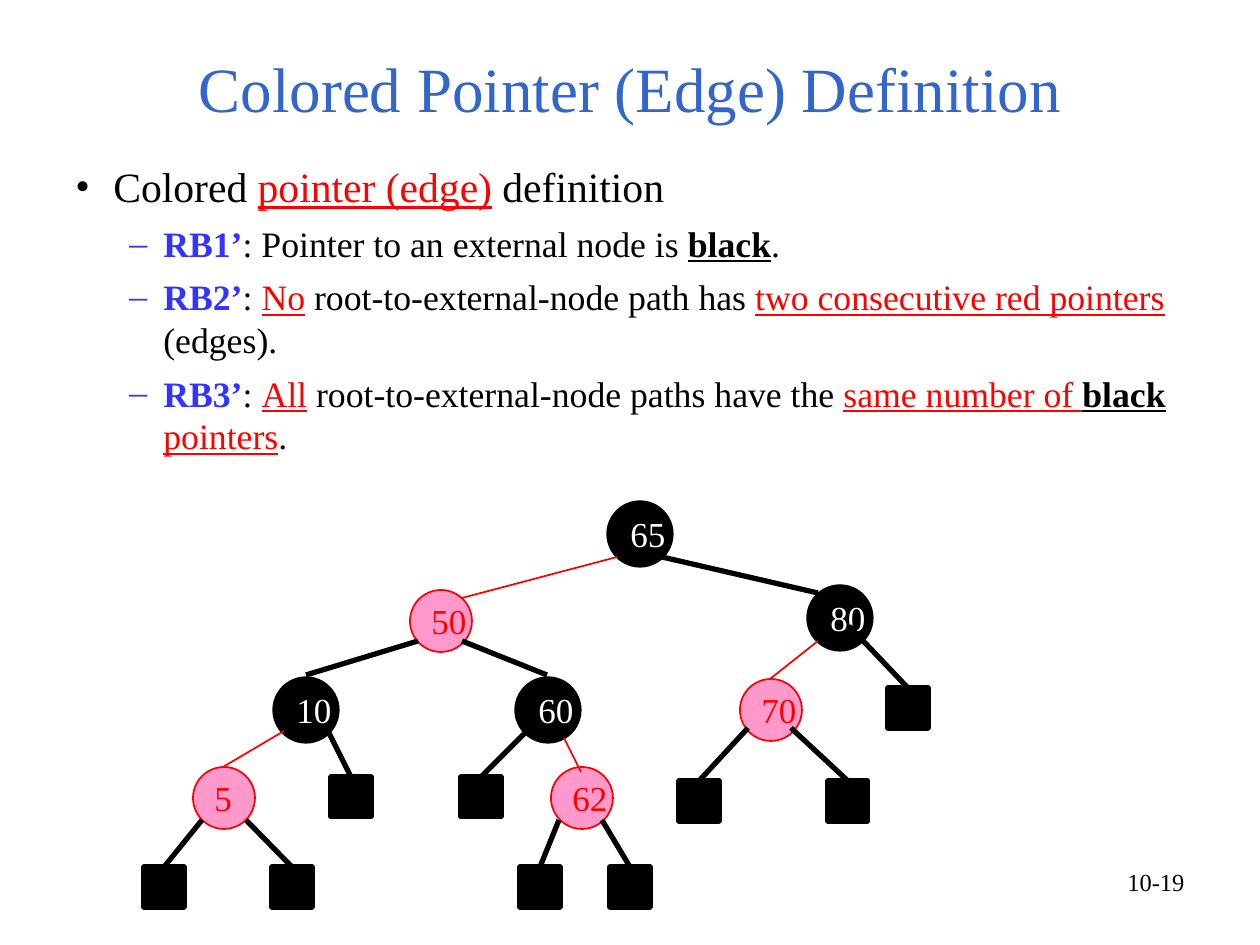
"""Build the slide that defines coloured pointers in a red-black tree."""
from dataclasses import dataclass

from lxml.etree import SubElement
from pptx import Presentation
from pptx.dml.color import RGBColor
from pptx.enum.shapes import MSO_CONNECTOR as Connector, MSO_SHAPE as Preset
from pptx.enum.text import MSO_ANCHOR as Anchor, PP_ALIGN as Align
from pptx.oxml.ns import qn
from pptx.shapes.autoshape import Shape
from pptx.slide import Slide
from pptx.util import Emu, Pt

PX_PER_INCH = 126
FONT = "Times New Roman"
COLORS = {
    "black": "000000",
    "white": "FFFFFF",
    "red": "FF0000",
    "pink": "FF99CC",
    "title": "3366CC",
    "rule": "3333FF",
}
NODE_SIZE = 62
EXTERNAL_SIZE = 40
Point = tuple[int, int]


@dataclass(frozen=True)
class Span:
    text: str
    color: str = "black"
    bold: bool = False
    underline: bool = False


@dataclass(frozen=True)
class Bullet:
    level: int
    spans: tuple[Span, ...]


@dataclass(frozen=True)
class BulletStyle:
    mark: str
    color: str
    size: float
    space_before: int
    margin: int
    hanging: int


@dataclass(frozen=True)
class Node:
    label: str
    left: int
    top: int
    color: str
    edge: tuple[Point, Point] | None = None


@dataclass(frozen=True)
class External:
    left: int
    top: int
    edge_start: Point


BULLET_STYLES = (
    BulletStyle("•", "black", 23.8, 7, 38, 38),
    BulletStyle("–", "rule", 20.4, 6, 88, 34),
)
BULLETS = (
    Bullet(0, (Span("Colored "), Span("pointer (edge)", "red", underline=True), Span(" definition"))),
    Bullet(1, (
        Span("RB1’", "rule", bold=True),
        Span(": Pointer to an external node is "),
        Span("black", bold=True, underline=True),
        Span("."),
    )),
    Bullet(1, (
        Span("RB2’", "rule", bold=True),
        Span(": "),
        Span("No", "red", underline=True),
        Span(" root-to-external-node path has "),
        Span("two consecutive red pointers", "red", underline=True),
        Span(" (edges)."),
    )),
    Bullet(1, (
        Span("RB3’", "rule", bold=True),
        Span(": "),
        Span("All", "red", underline=True),
        Span(" root-to-external-node paths have the "),
        Span("same number of ", "red", underline=True),
        Span("black", bold=True, underline=True),
        Span(" pointers", "red", underline=True),
        Span("."),
    )),
)
NODES = (
    Node("65", 609, 503, "black"),
    Node("50", 410, 590, "red", ((617, 557), (462, 598))),
    Node("80", 809, 587, "black", ((662, 557), (818, 593))),
    Node("10", 275, 679, "black", ((418, 641), (306, 675))),
    Node("60", 517, 679, "black", ((462, 641), (547, 675))),
    Node("70", 740, 679, "red", ((818, 641), (770, 679))),
    Node("5", 193, 767, "red", ((284, 731), (223, 767))),
    Node("62", 551, 767, "red", ((564, 738), (581, 772))),
)
EXTERNALS = (
    External(144, 867, (202, 820)),
    External(272, 867, (246, 820)),
    External(331, 777, (328, 731)),
    External(461, 777, (525, 733)),
    External(520, 867, (559, 820)),
    External(610, 867, (602, 820)),
    External(679, 781, (748, 728)),
    External(828, 781, (791, 728)),
    External(888, 688, (849, 626)),
)


def px(length: int) -> Emu:
    """Convert pixels to EMU."""
    return Emu(round(length * 914400 / PX_PER_INCH))


def rgb(name: str) -> RGBColor:
    """Look up a named colour."""
    return RGBColor.from_string(COLORS[name])


def line_width(color: str) -> Pt:
    """Give black lines three points and red lines one."""
    return Pt(3 if color == "black" else 1)


def add_run(paragraph, span: Span, size: float) -> None:
    """Append one formatted run."""
    run = paragraph.add_run()
    run.text = span.text
    font = run.font
    font.name, font.size = FONT, Pt(size)
    font.bold, font.underline = span.bold, span.underline
    font.color.rgb = rgb(span.color)


def add_text_box(slide: Slide, left: int, top: int, width: int, height: int) -> Shape:
    """Add an empty wrapping text box."""
    shape = slide.shapes.add_textbox(px(left), px(top), px(width), px(height))
    shape.text_frame.word_wrap = True
    return shape


def add_title(slide: Slide) -> None:
    """Add the centred heading."""
    frame = add_text_box(slide, 63, 38, 1134, 87).text_frame
    frame.vertical_anchor = Anchor.BOTTOM
    frame.margin_left = frame.margin_right = frame.margin_bottom = 0
    paragraph = frame.paragraphs[0]
    paragraph.alignment = Align.CENTER
    add_run(paragraph, Span("Colored Pointer (Edge) Definition", "title"), 36)


def add_bullets(slide: Slide) -> None:
    """Add the definition and its three rules."""
    frame = add_text_box(slide, 63, 155, 1134, 318).text_frame
    for index, bullet in enumerate(BULLETS):
        paragraph = frame.add_paragraph() if index else frame.paragraphs[0]
        style = BULLET_STYLES[bullet.level]
        paragraph.level = bullet.level
        paragraph.space_before = Pt(style.space_before)
        properties = paragraph._p.get_or_add_pPr()
        properties.set("marL", str(px(style.margin)))
        properties.set("indent", str(-px(style.hanging)))
        mark_color = SubElement(properties, qn("a:buClr"))
        SubElement(mark_color, qn("a:srgbClr"), val=COLORS[style.color])
        SubElement(properties, qn("a:buFont"), typeface=FONT)
        SubElement(properties, qn("a:buChar"), char=style.mark)
        for span in bullet.spans:
            add_run(paragraph, span, style.size)


def add_page_number(slide: Slide) -> None:
    """Add the page number at the lower right."""
    paragraph = add_text_box(slide, 903, 861, 294, 65).text_frame.paragraphs[0]
    paragraph.alignment = Align.RIGHT
    add_run(paragraph, Span("10-19"), 14)


def add_figure(slide: Slide, preset: Preset, left: int, top: int, size: int, fill: str, line: str) -> Shape:
    """Add a flat filled and outlined shape with equal sides."""
    shape = slide.shapes.add_shape(preset, px(left), px(top), px(size), px(size))
    shape.shadow.inherit = False
    shape.fill.solid()
    shape.fill.fore_color.rgb = rgb(fill)
    shape.line.color.rgb = rgb(line)
    shape.line.width = line_width(line)
    return shape


def add_node(slide: Slide, node: Node) -> None:
    """Add a labelled internal node."""
    fill, text_color = ("pink", "red") if node.color == "red" else ("black", "white")
    shape = add_figure(slide, Preset.OVAL, node.left, node.top, NODE_SIZE, fill, node.color)
    frame = shape.text_frame
    frame.word_wrap = False
    frame.vertical_anchor = Anchor.MIDDLE
    paragraph = frame.paragraphs[0]
    paragraph.alignment = Align.LEFT
    add_run(paragraph, Span(node.label, text_color), 20)


def add_edge(slide: Slide, start: Point, end: Point, color: str, target: Shape | None = None) -> None:
    """Add a pointer, joined to the top of its target if there is one."""
    connector = slide.shapes.add_connector(Connector.STRAIGHT, *map(px, start + end))
    connector.line.color.rgb = rgb(color)
    connector.line.width = line_width(color)
    SubElement(connector._element.spPr, qn("a:effectLst"))
    if target is not None:
        connector.end_connect(target, 0)


def add_tree(slide: Slide) -> None:
    """Draw the nodes first and the pointers over them."""
    for node in NODES:
        add_node(slide, node)
    boxes = [
        add_figure(slide, Preset.RECTANGLE, item.left, item.top, EXTERNAL_SIZE, "black", "black")
        for item in EXTERNALS
    ]
    for node in NODES:
        if node.edge:
            add_edge(slide, *node.edge, node.color)
    for item, box in zip(EXTERNALS, boxes):
        top_middle = (item.left + EXTERNAL_SIZE // 2, item.top)
        add_edge(slide, item.edge_start, top_middle, "black", box)


def main() -> None:
    """Build and save the presentation."""
    presentation = Presentation()
    presentation.slide_width, presentation.slide_height = px(1260), px(945)
    slide = presentation.slides.add_slide(presentation.slide_layouts[6])
    add_title(slide)
    add_bullets(slide)
    add_page_number(slide)
    add_tree(slide)
    presentation.save("out.pptx")


if __name__ == "__main__":
    main()
